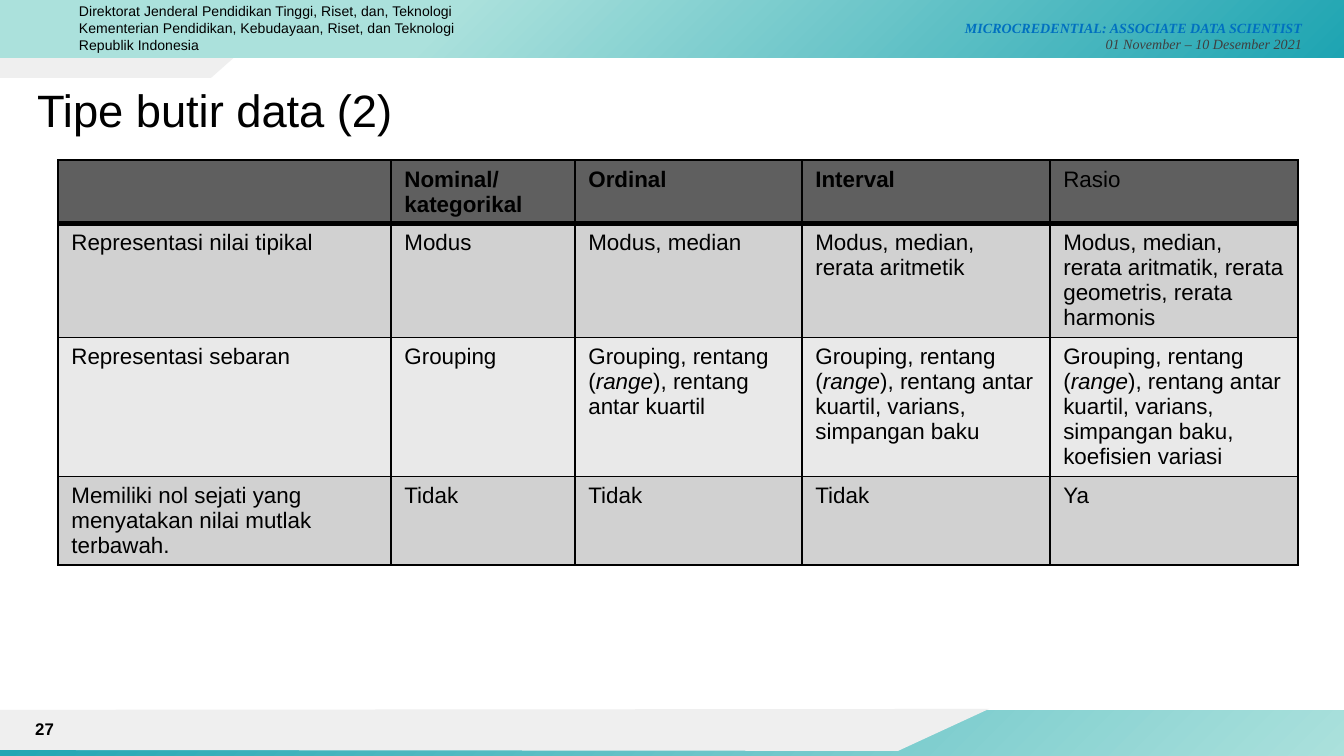
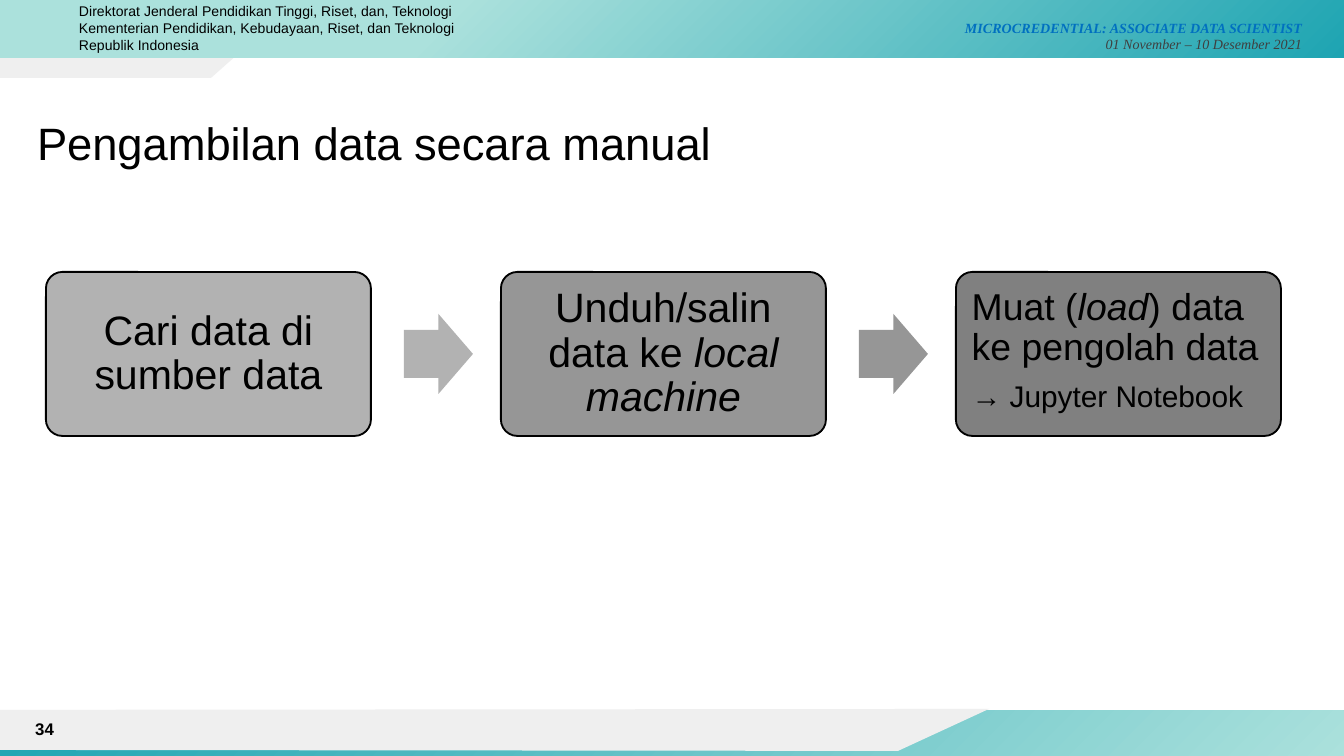
from dataclasses import dataclass, field

from lxml.etree import SubElement
from pptx import Presentation
from pptx.dml.color import RGBColor
from pptx.enum.shapes import MSO_SHAPE as Preset
from pptx.enum.text import MSO_ANCHOR as Anchor, MSO_AUTO_SIZE as AutoSize, PP_ALIGN as Align
from pptx.oxml.ns import qn
from pptx.util import Pt

EMU_PER_PX = 914400 / 134.4
SLIDE_SIZE = (1344, 756)

# Asterisks enclose italic words.
MINISTRY = [
    "Direktorat Jenderal Pendidikan Tinggi, Riset, dan, Teknologi",
    "Kementerian Pendidikan, Kebudayaan, Riset, dan Teknologi Republik Indonesia",
]
EVENT = "*MICROCREDENTIAL: ASSOCIATE DATA SCIENTIST*"
EVENT_DATE = "*01 November – 10 Desember 2021*"

TYPES_TITLE, TYPES_NUMBER = "Tipe butir data (2)", 27
TYPES_HEADER = ["", "Nominal/kategorikal", "Ordinal", "Interval", "Rasio"]
TYPES_ROWS = [
    ["Representasi nilai tipikal", "Modus", "Modus, median",
     "Modus, median, rerata aritmetik",
     "Modus, median, rerata aritmatik, rerata geometris, rerata harmonis"],
    ["Representasi sebaran", "Grouping",
     "Grouping, rentang (*range*), rentang antar kuartil",
     "Grouping, rentang (*range*), rentang antar kuartil, varians, simpangan baku",
     "Grouping, rentang (*range*), rentang antar kuartil, varians, simpangan baku, "
     "koefisien variasi"],
    ["Memiliki nol sejati yang menyatakan nilai mutlak terbawah.",
     "Tidak", "Tidak", "Tidak", "Ya"],
]
COLUMN_WIDTHS = [333, 184, 227, 248, 248]
ROW_HEIGHT = 55

STEPS_TITLE, STEPS_NUMBER = "Pengambilan data secara manual", 34
STEPS = [
    ([("Cari data di sumber data", "step")], "B2B2B2"),
    ([("Unduh/salin data ke *local machine*", "step")], "969696"),
    ([("Muat (*load*) data ke pengolah data", "last_step"),
      ("→ Jupyter Notebook", "detail")], "808080"),
]


@dataclass(frozen=True)
class Theme:
    black: str = "000000"
    band: str = "EFEFEF"
    teal: str = "1EA4B2"
    mint: str = "ABE1DC"
    table_header: str = "5F5F5F"
    table_rows: tuple = ("D1D1D1", "E9E9E9")
    styles: dict = field(default_factory=lambda: {
        "title": {"size": 24.3},
        "ministry": {"size": 7.5},
        "event": {"size": 7.5, "name": "Times New Roman", "bold": True, "color": "0070C0"},
        "date": {"size": 7.5, "name": "Times New Roman", "color": "3F3F3F"},
        "number": {"size": 9, "bold": True},
        "cell": {"size": 12},
        "header": {"size": 12, "bold": True},
        "step": {"size": 22},
        "last_step": {"size": 20},
        "detail": {"size": 16},
    })


THEME = Theme()


def px(*lengths):
    return [round(length * EMU_PER_PX) for length in lengths]


def set_attributes(target, values):
    for name, value in values.items():
        setattr(target, name, value)


def write_text(frame, lines, inset=None, paragraph_format=None, **frame_format):
    """Fill a frame with (text, style) paragraphs; inset is left, top, right, bottom."""
    set_attributes(frame, {"word_wrap": True, "auto_size": AutoSize.NONE, **frame_format})
    if inset:
        sides = ("margin_left", "margin_top", "margin_right", "margin_bottom")
        set_attributes(frame, dict(zip(sides, px(*inset))))
    for index, (text, style) in enumerate(lines):
        paragraph = frame.paragraphs[0] if index == 0 else frame.add_paragraph()
        set_attributes(paragraph, {"alignment": Align.LEFT, **(paragraph_format or {})})
        if style == "detail":
            paragraph.space_before = Pt(7)
        look = {"name": "Arial", "bold": False, "color": THEME.black, **THEME.styles[style]}
        for part, words in enumerate(text.split("*")):
            if words:
                run = paragraph.add_run()
                run.text = words
                set_attributes(run.font, {"name": look["name"], "size": Pt(look["size"]),
                                          "bold": look["bold"], "italic": part % 2 == 1})
                run.font.color.rgb = RGBColor.from_string(look["color"])


def add_text(slide, box, lines, **options):
    write_text(slide.shapes.add_textbox(*px(*box)).text_frame, lines, **options)


def paint(shape, fill=None, outlined=False):
    shape.shadow.inherit = False
    if fill:
        shape.fill.solid()
        shape.fill.fore_color.rgb = RGBColor.from_string(fill)
    if outlined:
        shape.line.color.rgb = RGBColor.from_string(THEME.black)
        shape.line.width = Pt(1)
    else:
        shape.line.fill.background()


def add_band(slide, points):
    builder = slide.shapes.build_freeform(*points[0], scale=EMU_PER_PX)
    builder.add_line_segments(points[1:], close=True)
    paint(builder.convert_to_shape(), THEME.band)


def add_gradient_bar(slide, box, stops):
    """Add a bar whose radial gradient starts at its bottom right corner."""
    bar = slide.shapes.add_shape(Preset.RECTANGLE, *px(*box))
    paint(bar)
    gradient = bar.element.spPr.makeelement(qn("a:gradFill"), {"rotWithShape": "1"})
    stop_list = SubElement(gradient, qn("a:gsLst"))
    for percent, color in stops:
        stop = SubElement(stop_list, qn("a:gs"), pos=str(percent * 1000))
        SubElement(stop, qn("a:srgbClr"), val=color)
    center = SubElement(gradient, qn("a:path"), path="circle")
    SubElement(center, qn("a:fillToRect"), l="100000", t="100000")
    bar.element.spPr.find(qn("a:prstGeom")).addnext(gradient)


def build_layout(presentation):
    """Draw the shared bands on a scratch slide and move them to the layout."""
    layout = presentation.slide_layouts.get_by_name("Title Only")
    slide = presentation.slides.add_slide(layout)
    add_band(slide, [(246, 47), (0, 45), (0, 78), (211, 78)])
    add_gradient_bar(slide, (0, 711, 1344, 48), [(0, THEME.mint), (100, THEME.teal)])
    add_band(slide, [(989, 709), (0, 710), (0, 750), (898, 751)])
    add_gradient_bar(slide, (0, 0, 1344, 58),
                     [(0, THEME.teal), (67, THEME.mint), (100, THEME.mint)])
    add_text(slide, (800, 7, 515, 52), [(EVENT, "event"), (EVENT_DATE, "date")],
             inset=(13, 12, 13, 7), paragraph_format={"alignment": Align.RIGHT})
    add_text(slide, (66, -4, 448, 65), [(line, "ministry") for line in MINISTRY],
             inset=(13, 7, 13, 7))
    for shape in list(slide.shapes):
        if not shape.is_placeholder:
            layout.shapes.element.append(shape.element)
    return layout, slide


def add_frame(slide, title, title_top, number):
    """Place the title and the page number."""
    set_attributes(slide.shapes.title,
                   dict(zip(("left", "top", "width", "height"), px(24, title_top, 1227, 78))))
    write_text(slide.shapes.title.text_frame, [(title, "title")], inset=(13,) * 4,
               vertical_anchor=Anchor.TOP)
    add_text(slide, (0, 709, 67, 40), [(str(number), "number")], inset=(13, 7, 13, 7),
             vertical_anchor=Anchor.MIDDLE, paragraph_format={"alignment": Align.RIGHT})


def set_borders(cell, widths):
    properties = cell._tc.get_or_add_tcPr()
    for side, points in widths.items():
        line = SubElement(properties, qn(f"a:ln{side}"), w=str(Pt(points)))
        fill = SubElement(line, qn("a:solidFill"))
        SubElement(fill, qn("a:srgbClr"), val=THEME.black)


def build_types(slide):
    add_frame(slide, TYPES_TITLE, 69, TYPES_NUMBER)
    rows = [TYPES_HEADER, *TYPES_ROWS]
    box = px(58, 160, sum(COLUMN_WIDTHS), ROW_HEIGHT * len(rows))
    table = slide.shapes.add_table(len(rows), len(COLUMN_WIDTHS), *box).table
    set_attributes(table, {"first_row": False, "horz_banding": False})
    for column, width in zip(table.columns, px(*COLUMN_WIDTHS)):
        column.width = width
    for row_index, texts in enumerate(rows):
        is_header = row_index == 0
        fill = THEME.table_header if is_header else THEME.table_rows[(row_index - 1) % 2]
        borders = {"L": 1, "R": 1, "T": 3 if row_index == 1 else 1, "B": 3 if is_header else 1}
        for column_index, text in enumerate(texts):
            cell = table.cell(row_index, column_index)
            set_borders(cell, borders)
            cell.fill.solid()
            cell.fill.fore_color.rgb = RGBColor.from_string(fill)
            style = "header" if is_header and text != "Rasio" else "cell"
            write_text(cell.text_frame, [(text, style)])


def build_steps(slide):
    add_frame(slide, STEPS_TITLE, 102, STEPS_NUMBER)
    left, pitch = 46, 455
    for index, (lines, fill) in enumerate(STEPS):
        is_last = index == len(STEPS) - 1
        step_left = left + index * pitch
        step = slide.shapes.add_shape(Preset.ROUNDED_RECTANGLE, *px(step_left, 272, 325, 164))
        step.adjustments[0] = 0.1
        paint(step, fill, outlined=True)
        write_text(step.text_frame, lines, inset=(11 if is_last else 12,) * 4,
                   vertical_anchor=Anchor.TOP if is_last else Anchor.MIDDLE,
                   paragraph_format={"alignment": Align.LEFT if is_last else Align.CENTER,
                                     "line_spacing": 0.9})
        if not is_last:
            arrow = slide.shapes.add_shape(Preset.RIGHT_ARROW, *px(step_left + 358, 314, 69, 80))
            arrow.adjustments[0] = 0.6
            paint(arrow, fill)


def main():
    presentation = Presentation()
    presentation.slide_width, presentation.slide_height = px(*SLIDE_SIZE)
    layout, first_slide = build_layout(presentation)
    build_types(first_slide)
    build_steps(presentation.slides.add_slide(layout))
    presentation.save("out.pptx")


if __name__ == "__main__":
    main()
